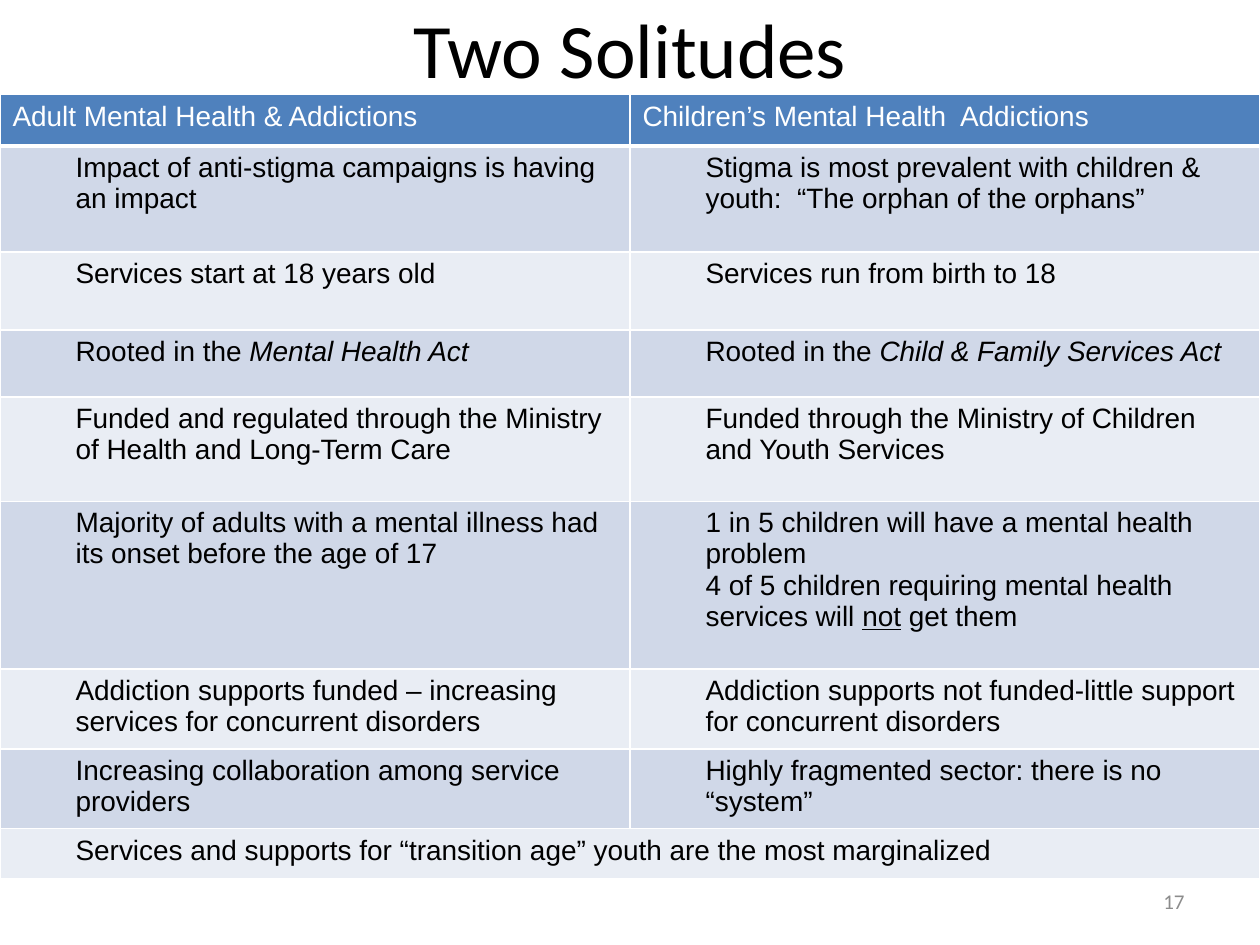
from dataclasses import dataclass

from lxml import etree
from pptx import Presentation
from pptx.dml.color import RGBColor
from pptx.enum.text import MSO_ANCHOR, PP_ALIGN
from pptx.oxml.ns import qn
from pptx.util import Inches, Pt


@dataclass(frozen=True)
class Theme:
    title_font: str = "Calibri"
    body_font: str = "Arial"
    title_size: int = 44
    body_size: int = 16
    number_size: int = 12
    text: str = "000000"
    muted: str = "8C8C8C"
    light: str = "FFFFFF"
    header_fill: str = "4F81BD"
    bands: tuple = ("D0D8E8", "E9EDF4")


THEME = Theme()
ROW_HEIGHTS = (0.41, 0.84, 0.62, 0.53, 0.83, 1.33, 0.6, 0.6, 0.4)
HEADERS = ("Adult Mental Health & Addictions", "Children’s Mental Health  Addictions")

# A cell is a list of paragraphs; a paragraph is a list of (text, style) runs.
ROWS = (
    ([[("Impact of anti-stigma campaigns is having an impact", "")]],
     [[("Stigma is most prevalent with children & youth:  “The orphan of the orphans”", "")]]),
    ([[("Services start at 18 years old", "")]],
     [[("Services run from birth to 18", "")]]),
    ([[("Rooted in the", ""), (" Mental Health Act", "italic")]],
     [[("Rooted in the ", ""), ("Child & Family Services Act", "italic")]]),
    ([[("Funded and regulated through the Ministry of Health and Long-Term Care", "")]],
     [[("Funded through the Ministry of Children and Youth Services", "")]]),
    ([[("Majority of adults with a mental illness had its onset before the age of 17", "")]],
     [[("1 in 5 children will have a mental health problem", "")],
      [("4 of 5 children requiring mental health services will ", ""),
       ("not", "underline"), (" get them", "")]]),
    ([[("Addiction supports funded – increasing services for concurrent disorders", "")]],
     [[("Addiction supports not funded-little support for concurrent disorders", "")]]),
    ([[("Increasing collaboration among service providers", "")]],
     [[("Highly fragmented sector: there is no “system”", "")]]),
    ([[("Services and supports for “transition age” youth are the most marginalized", "")]],),
)


def style_font(font, name, size, color):
    font.name = name
    font.size = Pt(size)
    font.color.rgb = RGBColor.from_string(color)


def add_label(s, box, text, size, color, align):
    tf = s.shapes.add_textbox(*map(Inches, box)).text_frame
    tf.word_wrap = True
    tf.vertical_anchor = MSO_ANCHOR.MIDDLE
    tf.text = text
    p = tf.paragraphs[0]
    p.alignment = align
    style_font(p.runs[0].font, THEME.title_font, size, color)


def set_borders(cell, bottom_width):
    tc_pr = cell._tc.get_or_add_tcPr()
    widths = {"a:lnL": 1, "a:lnR": 1, "a:lnT": 1, "a:lnB": bottom_width}
    for i, (tag, width) in enumerate(widths.items()):
        line = etree.Element(qn(tag), w=str(Pt(width)))
        fill = etree.SubElement(line, qn("a:solidFill"))
        etree.SubElement(fill, qn("a:srgbClr"), val=THEME.light)
        tc_pr.insert(i, line)


def fill_cell(cell, fill, bottom_width=1):
    cell.fill.solid()
    cell.fill.fore_color.rgb = RGBColor.from_string(fill)
    set_borders(cell, bottom_width)


def write_cell(cell, paragraphs, color, indent=0.0):
    tf = cell.text_frame
    for i, runs in enumerate(paragraphs):
        p = tf.add_paragraph() if i else tf.paragraphs[0]
        if indent:
            p._p.get_or_add_pPr().set("marL", str(Inches(indent)))
        for text, style in runs:
            r = p.add_run()
            r.text = text
            style_font(r.font, THEME.body_font, THEME.body_size, color)
            if style:
                setattr(r.font, style, True)


def add_comparison(s):
    table = s.shapes.add_table(
        len(ROW_HEIGHTS), len(HEADERS),
        Inches(0), Inches(0.75), Inches(10), Inches(sum(ROW_HEIGHTS)),
    ).table
    for row, height in zip(table.rows, ROW_HEIGHTS):
        row.height = Inches(height)
    for cell, text in zip(table.rows[0].cells, HEADERS):
        fill_cell(cell, THEME.header_fill, bottom_width=3)
        write_cell(cell, [[(text, "")]], THEME.light)
    for i, contents in enumerate(ROWS):
        cells = list(table.rows[i + 1].cells)
        for cell in cells:
            fill_cell(cell, THEME.bands[i % 2])
        if len(contents) == 1:
            cells[0].merge(cells[-1])
        for cell, paragraphs in zip(cells, contents):
            write_cell(cell, paragraphs, THEME.text, indent=0.5)


def main():
    prs = Presentation()
    prs.slide_width, prs.slide_height = Inches(10), Inches(7.5)
    s = prs.slides.add_slide(prs.slide_layouts[6])
    add_label(s, (0.5, -0.25, 9, 1.25), "Two Solitudes",
              THEME.title_size, THEME.text, PP_ALIGN.CENTER)
    add_comparison(s)
    add_label(s, (7.17, 6.95, 2.33, 0.4), "17",
              THEME.number_size, THEME.muted, PP_ALIGN.RIGHT)
    prs.save("out.pptx")


if __name__ == "__main__":
    main()
